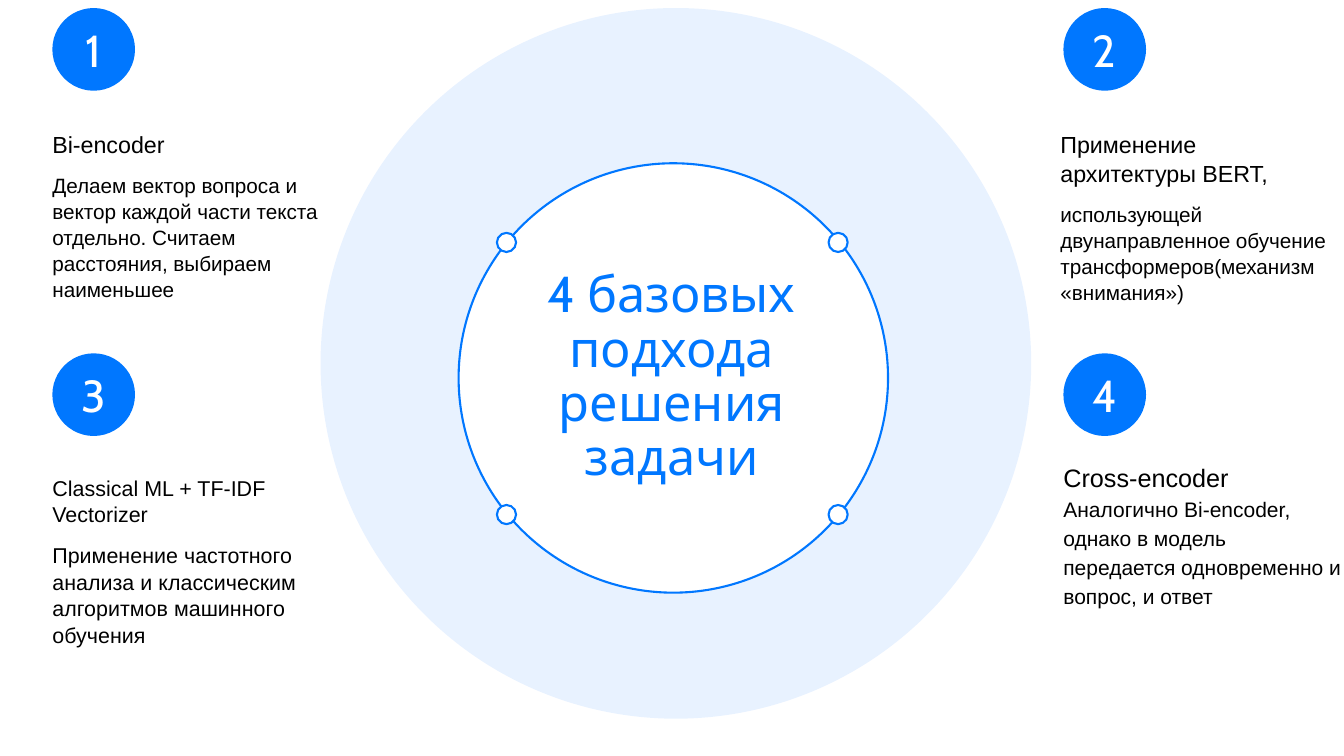
"""Build a slide that sets out four basic approaches around a central ring."""
import itertools

import pptx
import pptx.dml.color
import pptx.enum.shapes
import pptx.enum.text
import pptx.oxml.ns
import pptx.util
from lxml import etree

COLORS = {"accent": "0077FF", "paper": "FFFFFF", "ink": "000000"}
COLUMNS, ROWS = 160, 90
ALIGN = pptx.enum.text.PP_ALIGN
ANCHOR = pptx.enum.text.MSO_ANCHOR


class ApproachSlide:
    def __init__(self, deck):
        self.column = deck.slide_width / COLUMNS
        self.row = deck.slide_height / ROWS
        self.display_font, self.body_font = "Cabin", "Arial"
        self.slide = deck.slides.add_slide(deck.slide_layouts[5])
        self.slide.background.fill.solid()
        self.slide.background.fill.fore_color.rgb = self.color("paper")

    def color(self, name):
        return pptx.dml.color.RGBColor.from_string(COLORS[name])

    def area(self, left, top, width, height):
        return (round(left * self.column), round(top * self.row),
                round(width * self.column), round(height * self.row))

    def run(self, paragraph, text, font, size, color):
        run = paragraph.add_run()
        run.text = text
        run.font.name = font
        run.font.size = pptx.util.Pt(size)
        run.font.color.rgb = self.color(color)

    def circle(self, left, top, size, fill, line=None, opacity=None):
        circle = self.slide.shapes.add_shape(
            pptx.enum.shapes.MSO_SHAPE.OVAL, *self.area(left, top, size, size))
        circle.shadow.inherit = False
        circle.fill.solid()
        circle.fill.fore_color.rgb = self.color(fill)
        if opacity:
            tint = circle.element.spPr.find(".//" + pptx.oxml.ns.qn("a:srgbClr"))
            etree.SubElement(tint, pptx.oxml.ns.qn("a:alpha"), val=str(opacity * 1000))
        if line:
            circle.line.color.rgb = self.color(line)
            circle.line.width = pptx.util.Pt(1.5)
        else:
            circle.line.fill.background()
        return circle

    def title(self, text, left, top, width, height):
        title = self.slide.shapes.title
        title.left, title.top, title.width, title.height = self.area(left, top, width, height)
        title.element.getparent().append(title.element)
        frame = title.text_frame
        frame.margin_left = frame.margin_right = frame.margin_top = frame.margin_bottom = 0
        frame.vertical_anchor = ANCHOR.MIDDLE
        frame.word_wrap = True
        frame.auto_size = pptx.enum.text.MSO_AUTO_SIZE.NONE
        paragraph = frame.paragraphs[0]
        paragraph.alignment = ALIGN.CENTER
        paragraph.line_spacing = 0.9
        self.run(paragraph, text, self.display_font, 36, "accent")

    def badge(self, number, left, top):
        frame = self.circle(left, top, 9.84, "accent").text_frame
        frame.vertical_anchor = ANCHOR.MIDDLE
        paragraph = frame.paragraphs[0]
        paragraph.alignment = ALIGN.CENTER
        self.run(paragraph, str(number), self.display_font, 32, "paper")

    def description(self, area, heading, heading_size, detail, detail_size,
                    spacing=1.04, same_paragraph=False):
        frame = self.slide.shapes.add_textbox(*self.area(*area)).text_frame
        frame.word_wrap = True
        frame.margin_left = 0
        paragraph = frame.paragraphs[0]
        paragraph.line_spacing = spacing
        self.run(paragraph, heading, self.body_font, heading_size, "ink")
        if same_paragraph:
            paragraph.add_line_break()
        else:
            paragraph = frame.add_paragraph()
            paragraph.line_spacing = spacing
            paragraph.space_before = pptx.util.Pt(10)
        self.run(paragraph, detail, self.body_font, detail_size, "ink")


def main():
    deck = pptx.Presentation()
    deck.slide_width = pptx.util.Inches(13.33)
    deck.slide_height = pptx.util.Inches(7.5)
    approaches = ApproachSlide(deck)

    approaches.circle(38.16, 0.96, 84.6, "accent", opacity=9)
    approaches.circle(54.6, 19.44, 51.12, "paper", line="accent")
    approaches.title("4 базовых подхода решения задачи", 56.52, 34.44, 46.92, 21.12)
    for left, top in itertools.product((59.16, 98.64), (27.72, 60.12)):
        approaches.circle(left, top, 2.28, "paper", line="accent")

    badge_places = itertools.product((0.96, 42.06), (6.24, 126.6))
    for number, (top, left) in enumerate(badge_places, start=1):
        approaches.badge(number, left, top)

    approaches.description(
        (6.24, 14.76, 32.88, 21.84), "Bi-encoder", 16.6,
        "Делаем вектор вопроса и вектор каждой части текста отдельно. "
        "Считаем расстояния, выбираем наименьшее", 14.8)
    approaches.description(
        (126.24, 14.76, 33.48, 21.84), "Применение архитектуры BERT,", 16.6,
        "использующей двунаправленное обучение трансформеров(механизм «внимания»)", 14.8)
    approaches.description(
        (6.24, 55.8, 32.88, 21.84), "Classical ML + TF-IDF Vectorizer", 15.3,
        "Применение частотного анализа и классическим алгоритмов машинного обучения", 15.3)
    approaches.description(
        (126.6, 53.88, 34.44, 21.84), "Cross-encoder", 18,
        "Аналогично Bi-encoder, однако в модель передается одновременно и вопрос, и ответ",
        15, spacing=1.15, same_paragraph=True)

    deck.save("out.pptx")


if __name__ == "__main__":
    main()
